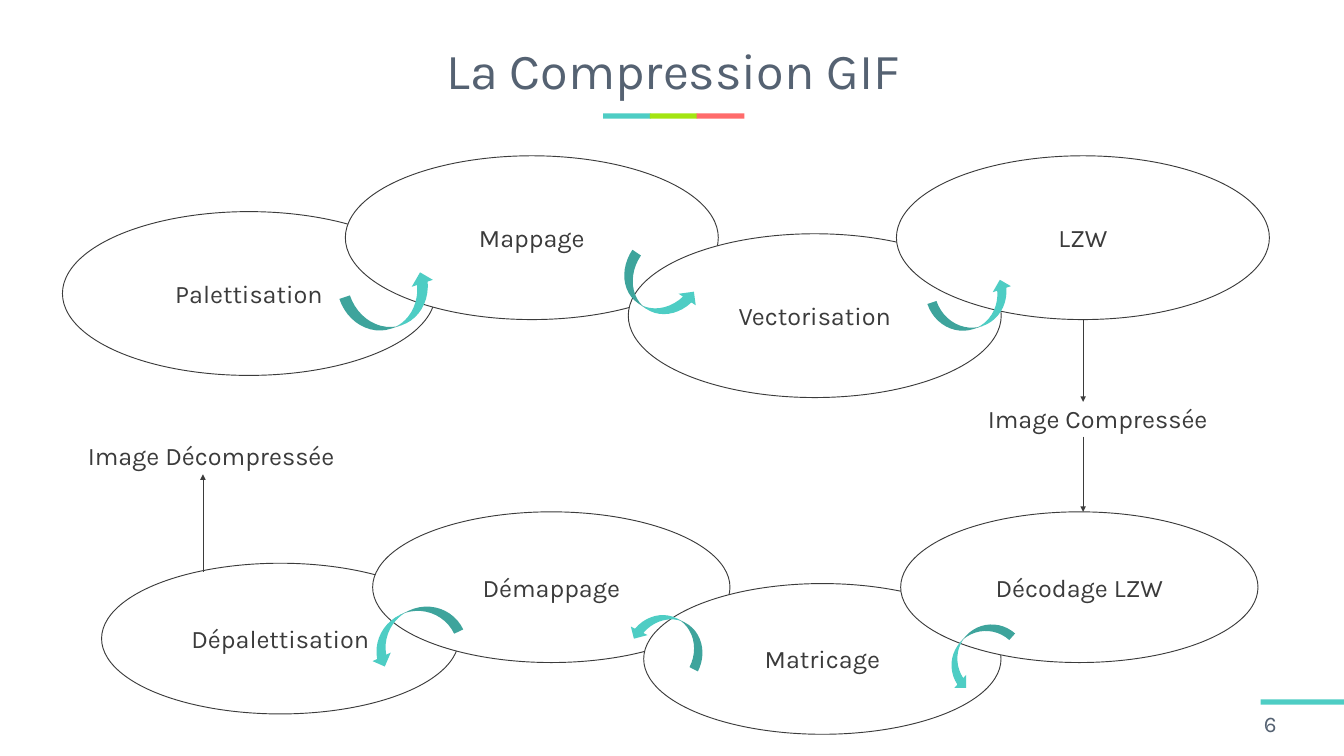
from lxml import etree
from pptx import Presentation
from pptx import util as u
from pptx.dml.color import RGBColor
from pptx.enum import shapes, text
from pptx.oxml import ns

COLOURS = {"ink": "3B3B3B", "slate": "556272", "teal": "4ECDC4",
           "lime": "A3E511", "coral": "FF6B6B", "paper": "FFFFFF"}
FONT = "Karla"
PERCENT_PLACES = ((0, 23.1), (23.44, 0), (46.88, 32.25), (69.1, 0))
PERCENT_SIZE = (30.9, 67.75)
SHAPE = shapes.MSO_SHAPE
ALIGN = text.PP_ALIGN
ANCHOR = text.MSO_ANCHOR


def colour(name):
    """Return the named colour."""
    return RGBColor.from_string(COLOURS[name])


def write(frame, words, size=27, ink="ink", align=ALIGN.CENTER, anchor=ANCHOR.MIDDLE, spacing=None):
    """Write one formatted paragraph into a text frame."""
    frame.word_wrap = True
    frame.vertical_anchor = anchor
    para = frame.paragraphs[0]
    para.alignment = align
    para.line_spacing = spacing
    span = para.add_run()
    span.text = words
    span.font.name = FONT
    span.font.size = u.Pt(size)
    span.font.color.rgb = colour(ink)


def add_text(page, box, words, **style):
    """Add a text box holding one paragraph."""
    write(page.shapes.add_textbox(*map(u.Cm, box)).text_frame, words, **style)


def add_solid(parent, kind, box, fill, line=None):
    """Add a filled shape, outlined only if a line colour is given."""
    solid = parent.shapes.add_shape(kind, *map(u.Cm, box))
    solid.shadow.inherit = False
    solid.fill.solid()
    solid.fill.fore_color.rgb = colour(fill)
    if line:
        solid.line.color.rgb = colour(line)
        solid.line.width = u.Pt(1)
    else:
        solid.line.fill.background()
    return solid


def add_arrow(page, x, start, end):
    """Add a thin vertical arrow from one height to another."""
    arrow = page.shapes.add_connector(shapes.MSO_CONNECTOR.STRAIGHT,
                                      *map(u.Cm, (x, start, x, end)))
    arrow.line.color.rgb = colour("ink")
    arrow.line.width = u.Pt(0.5)
    outline = arrow.line._get_or_add_ln()
    etree.SubElement(outline, ns.qn("a:tailEnd"), type="triangle")
    etree.SubElement(arrow._element.spPr, ns.qn("a:effectLst"))


def add_heading(page, box, words):
    """Add the title with its three-colour rule beneath."""
    left, top, width, height = box
    pitch = 1.77
    start = left + (width - 3 * pitch) / 2
    for index, fill in enumerate(("teal", "lime", "coral")):
        add_solid(page, SHAPE.RECTANGLE, (start + index * pitch, top + 3.32, 1.8, 0.2), fill)
    add_text(page, box, words, size=54, ink="slate", spacing=0.9)


def add_page_number(page, box, number):
    """Add the corner bar and the page number below it."""
    left, top, width, height = box
    add_solid(page, SHAPE.RECTANGLE, (left + 0.13, top, width - 0.13, 0.2), "teal")
    add_text(page, (left, top + 0.23, width, height - 0.23), number,
             size=24, ink="slate", align=ALIGN.LEFT)


def add_chain(page, box, steps, turns):
    """Add overlapping ellipses in a box, linked by curved arrows."""
    left, top, width, height = box
    group = page.shapes.add_group_shape()
    step_size = (PERCENT_SIZE[0] * width / 100, PERCENT_SIZE[1] * height / 100)
    for words, (x, y) in zip(steps, PERCENT_PLACES):
        place = (left + x * width / 100, top + y * height / 100)
        ellipse = add_solid(group, SHAPE.OVAL, place + step_size, "paper", "ink")
        write(ellipse.text_frame, words)
    for x, y, across, down, angle in turns:
        turn = add_solid(group, SHAPE.CURVED_UP_ARROW, (left + x, top + y, across, down), "teal")
        turn.rotation = angle


def add_results(page):
    """Add the two image labels and the arrows that reach them."""
    add_text(page, (34.19, 15.11, 14.6, 1.42), "Image Compressée", anchor=ANCHOR.TOP)
    add_text(page, (2.9, 16.51, 10.16, 1.42), "Image Décompressée", anchor=ANCHOR.TOP)
    for x, start, end in ((40.94, 12.09, 15.19), (40.94, 16.51, 19.35), (7.67, 21.62, 17.93)):
        add_arrow(page, x, start, end)


def main():
    """Build the slide and save the deck."""
    deck = Presentation()
    deck.slide_width, deck.slide_height = u.Cm(50.8), u.Cm(28.58)
    page = deck.slides.add_slide(deck.slide_layouts[6])
    add_heading(page, (1.37, 0.97, 48.16, 3.56), "La Compression GIF")
    add_page_number(page, (47.52, 26.44, 3.28, 1.58), "6")
    add_chain(page, (2.36, 5.89, 45.62, 9.14),
              ("Palettisation", "Mappage", "Vectorisation", "LZW"),
              ((32.84, 5.05, 3.25, 1.45, 341.5),
               (10.64, 4.8, 3.63, 1.68, 341.8),
               (20.83, 4.32, 3.2, 1.55, 34.3)))
    add_chain(page, (3.84, 19.35, 43.71, 8.41),
              ("Dépalettisation", "Démappage", "Matricage", "Décodage LZW"),
              ((31.45, 4.65, 3.1, 1.32, 132),
               (9.86, 3.78, 3.66, 1.52, 154.7),
               (19.96, 3.99, 3.07, 1.42, 207.1)))
    add_results(page)
    deck.save("out.pptx")


if __name__ == "__main__":
    main()
